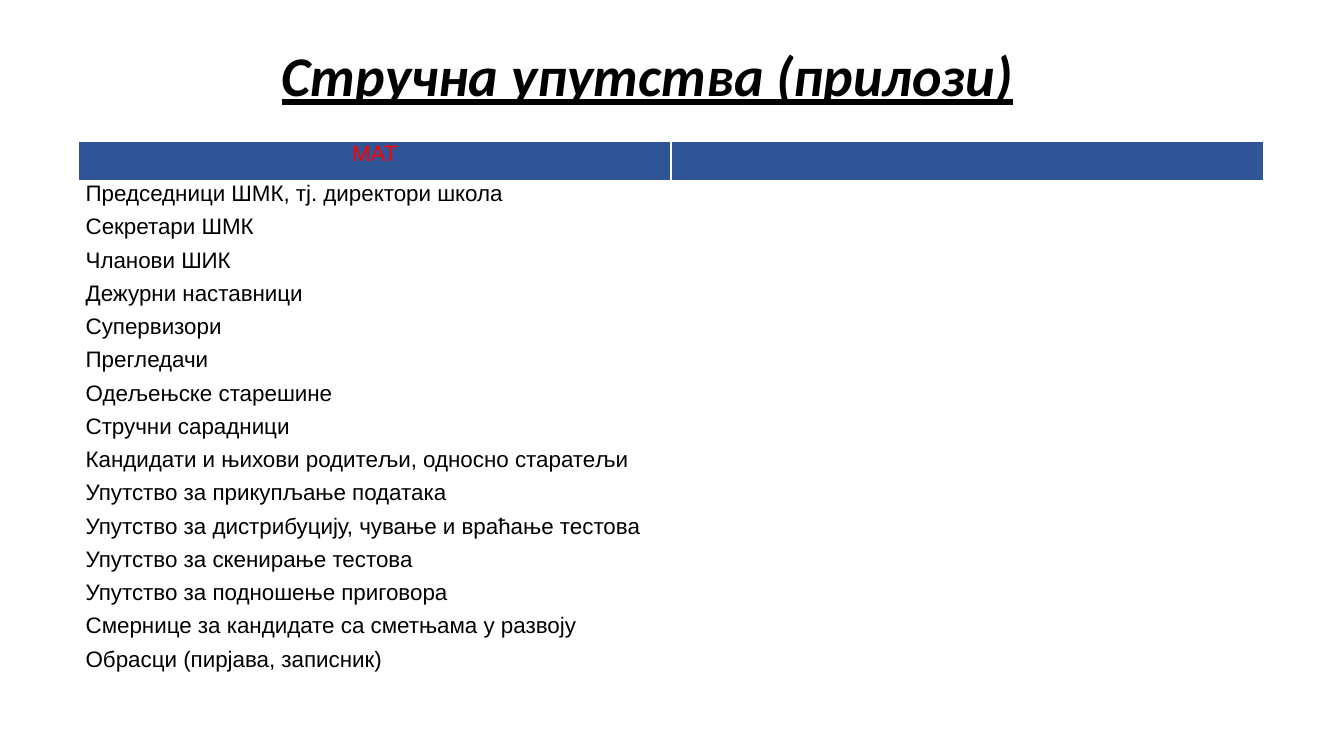
"""Build a slide listing the expert instructions in a two-column table."""
from dataclasses import dataclass

from lxml import etree
from pptx import Presentation
from pptx.dml.color import RGBColor
from pptx.enum.text import MSO_ANCHOR, PP_ALIGN
from pptx.oxml.ns import qn
from pptx.util import Inches, Pt

CENTER, LEFT = PP_ALIGN.CENTER, PP_ALIGN.LEFT
MIDDLE, TOP = MSO_ANCHOR.MIDDLE, MSO_ANCHOR.TOP

TITLE = "Стручна упутства (прилози)"
HEADING = "МАТ"
INSTRUCTIONS = [
    "Председници ШМК, тј. директори школа",
    "Секретари ШМК",
    "Чланови ШИК",
    "Дежурни наставници",
    "Супервизори",
    "Прегледачи",
    "Одељењске старешине",
    "Стручни сарадници",
    "Кандидати и њихови родитељи, односно старатељи",
    "Упутство за прикупљање података",
    "Упутство за дистрибуцију, чување и враћање тестова",
    "Упутство за скенирање тестова",
    "Упутство за подношење приговора",
    "Смернице за кандидате са сметњама у развоју",
    "Обрасци (пирјава, записник)",
]
COLUMNS = 2
TITLE_AREA = (0.67, 0.01, 11.5, 1.45)
TABLE_LEFT, TABLE_TOP, TABLE_WIDTH = 0.78, 1.4, 11.75
HEADER_HEIGHT, ROW_HEIGHT = 0.4, 0.33
SIDE_MARGIN = 0.07


@dataclass(frozen=True)
class Theme:
    """Colours, fonts and sizes of the slide."""
    title_font: str = "Calibri"
    table_font: str = "Arial"
    title_size: int = 40
    table_size: int = 16
    ink: str = "000000"
    heading: str = "FF0000"
    header_fill: str = "2F5597"
    paper: str = "FFFFFF"
    border: int = 1
    header_border: int = 3


THEME = Theme()


def add_span(para, text, font, size, color):
    """Add one formatted run to a paragraph."""
    span = para.add_run()
    span.text = text
    span.font.name = font
    span.font.size = Pt(size)
    span.font.color.rgb = RGBColor.from_string(color)
    return span


def add_title(page):
    """Place and format the title placeholder."""
    box = page.shapes.title
    box.left, box.top, box.width, box.height = map(Inches, TITLE_AREA)
    box.text_frame.vertical_anchor = MIDDLE
    para = box.text_frame.paragraphs[0]
    para.alignment = CENTER
    font = add_span(para, TITLE, THEME.title_font, THEME.title_size, THEME.ink).font
    font.bold = font.italic = font.underline = True


def set_borders(cell, bottom):
    """Draw the four borders of a cell, with its own bottom width."""
    properties = cell._tc.get_or_add_tcPr()
    widths = {"lnL": THEME.border, "lnR": THEME.border, "lnT": THEME.border, "lnB": bottom}
    for place, (side, width) in enumerate(widths.items()):
        line = etree.Element(qn(f"a:{side}"), w=str(Pt(width)))
        fill = etree.SubElement(line, qn("a:solidFill"))
        etree.SubElement(fill, qn("a:srgbClr"), val=THEME.paper)
        properties.insert(place, line)


def format_cell(cell, text, header):
    """Fill a cell and write its text."""
    cell.margin_left = cell.margin_right = Inches(SIDE_MARGIN)
    cell.margin_top = cell.margin_bottom = 0
    cell.vertical_anchor = TOP
    cell.fill.solid()
    cell.fill.fore_color.rgb = RGBColor.from_string(
        THEME.header_fill if header else THEME.paper)
    set_borders(cell, THEME.header_border if header else THEME.border)
    if text:
        para = cell.text_frame.paragraphs[0]
        para.alignment = CENTER if header else LEFT
        para.space_before = Pt(6 if header else 1)
        para.space_after = Pt(1)
        add_span(para, text, THEME.table_font, THEME.table_size,
                 THEME.heading if header else THEME.ink)


def add_instructions(page):
    """Add the table with its header row and one row per instruction."""
    texts = [HEADING, *INSTRUCTIONS]
    height = HEADER_HEIGHT + ROW_HEIGHT * len(INSTRUCTIONS)
    table = page.shapes.add_table(
        len(texts), COLUMNS, Inches(TABLE_LEFT), Inches(TABLE_TOP),
        Inches(TABLE_WIDTH), Inches(height)).table
    for column in table.columns:
        column.width = Inches(TABLE_WIDTH / COLUMNS)
    for index, text in enumerate(texts):
        header = index == 0
        row = table.rows[index]
        row.height = Inches(HEADER_HEIGHT if header else ROW_HEIGHT)
        for cell, content in zip(row.cells, (text, "")):
            format_cell(cell, content, header)


def main():
    """Create and save the deck."""
    deck = Presentation()
    deck.slide_width, deck.slide_height = Inches(13.33), Inches(7.5)
    page = deck.slides.add_slide(deck.slide_layouts.get_by_name("Title Only"))
    add_title(page)
    add_instructions(page)
    deck.save("out.pptx")


if __name__ == "__main__":
    main()
